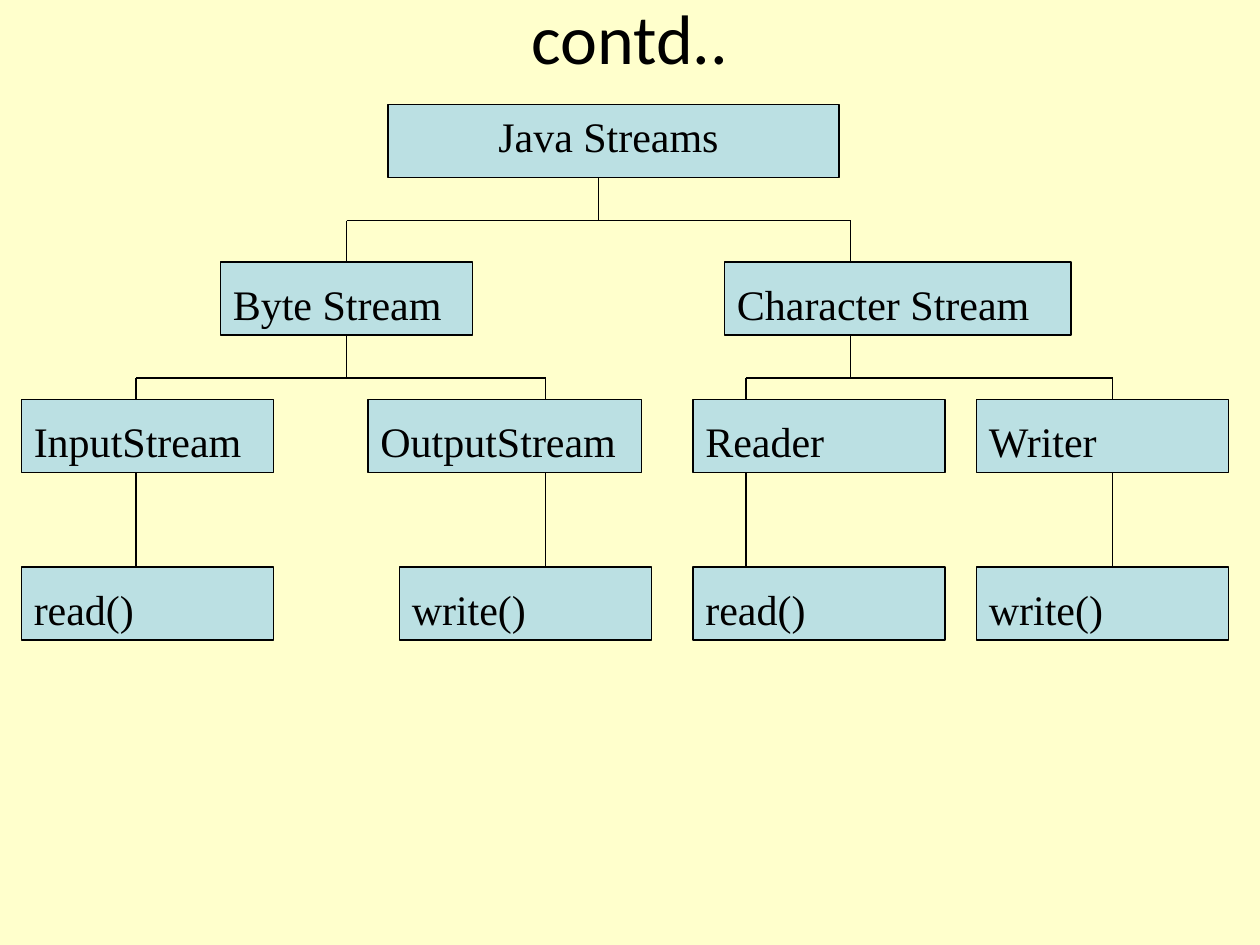
from lxml.etree import SubElement
from pptx import Presentation
from pptx.dml.color import RGBColor
from pptx.enum.shapes import MSO_CONNECTOR as Conn, MSO_SHAPE as Shape
from pptx.enum.text import MSO_ANCHOR as Anchor, PP_ALIGN as Align
from pptx.oxml.ns import qn
from pptx.util import Inches, Pt

INK, PAPER, BLUE = "000000", "FFFFCC", "BBE0E3"
HIGH = 0.58  # height of every node
ROWS = (0.83, 2.08, 3.17, 4.5)  # top of each level


def paint(fill, color):
    fill.solid()
    fill.fore_color.rgb = RGBColor.from_string(color)


def label(slide, text, box, font="Times New Roman", size=24,
          align=Align.LEFT, anchor=Anchor.TOP):
    frame = slide.shapes.add_textbox(*map(Inches, box)).text_frame
    frame.word_wrap = True
    frame.vertical_anchor = anchor
    para = frame.paragraphs[0]
    para.text, para.alignment = text, align
    para.font.name, para.font.size = font, Pt(size)
    para.font.color.rgb = RGBColor.from_string(INK)


def node(slide, text, box, span=2.33, drop=0.08, align=Align.LEFT):
    """Draw a box with its label, span wide and drop below the box's top."""
    left, top, wide = box
    rect = slide.shapes.add_shape(
        Shape.RECTANGLE, *map(Inches, (left, top, wide, HIGH)))
    rect.shadow.inherit = False
    paint(rect.fill, BLUE)
    paint(rect.line.fill, INK)
    rect.line.width = Pt(0.75)
    label(slide, text, (left, top + drop, span, 0.5), align=align)
    return rect


def centred(rect, x):
    return abs(rect.left + rect.width / 2 - Inches(x)) < Inches(0.01)


def link(slide, start, end, above=None, below=None):
    """Draw a line, joined to the boxes whose side it meets in the middle."""
    line = slide.shapes.add_connector(
        Conn.STRAIGHT, *map(Inches, (*start, *end)))
    paint(line.line.fill, INK)
    line.line.width = Pt(0.75)
    SubElement(line._element.spPr, qn("a:effectLst"))
    if above and centred(above, start[0]):
        line.begin_connect(above, 2)
    if below and centred(below, end[0]):
        line.end_connect(below, 0)


def fork(slide, stem, level, bar, kids):
    """Join a parent, given as (box, x), to its kids through a bar."""
    rect, x = stem
    link(slide, (x, ROWS[level] + HIGH), (x, bar), above=rect)
    link(slide, (kids[0][1], bar), (kids[-1][1], bar))
    for kid, spot in kids:
        link(slide, (spot, bar), (spot, ROWS[level + 1]), below=kid)


def branch(slide, stem, leaves):
    """Draw the classes under a stream, each with its method below."""
    kids = []
    for name, left, wide, call, shift, x in leaves:
        kid = node(slide, name, (left, ROWS[2], wide))
        leaf = node(slide, call, (left + shift, ROWS[3], 2))
        link(slide, (x, ROWS[2] + HIGH), (x, ROWS[3]), kid, leaf)
        kids.append((kid, x))
    fork(slide, stem, 1, 3, kids)


def tree(slide):
    root = node(slide, "Java Streams", (3.08, ROWS[0], 3.58),
                3.5, 0, Align.CENTER)
    byte = node(slide, "Byte Stream", (1.75, ROWS[1], 2)), 2.75
    char = node(slide, "Character Stream", (5.75, ROWS[1], 2.75), 3.08), 6.75
    fork(slide, (root, 4.75), 0, 1.75, [byte, char])
    branch(slide, byte, [
        ("InputStream", 0.17, 2, "read()", 0, 1.08),
        ("OutputStream", 2.92, 2.17, "write()", 0.25, 4.33)])
    branch(slide, char, [
        ("Reader", 5.5, 2, "read()", 0, 5.92),
        ("Writer", 7.75, 2, "write()", 0, 8.83)])


def main():
    deck = Presentation()
    deck.slide_width, deck.slide_height = Inches(10), Inches(7.5)
    slide = deck.slides.add_slide(deck.slide_layouts[6])
    paint(slide.background.fill, PAPER)
    label(slide, "contd..", (0, 0.08, 10, 0.42), "Calibri", 40,
          Align.CENTER, Anchor.MIDDLE)
    tree(slide)
    deck.save("out.pptx")


if __name__ == "__main__":
    main()
